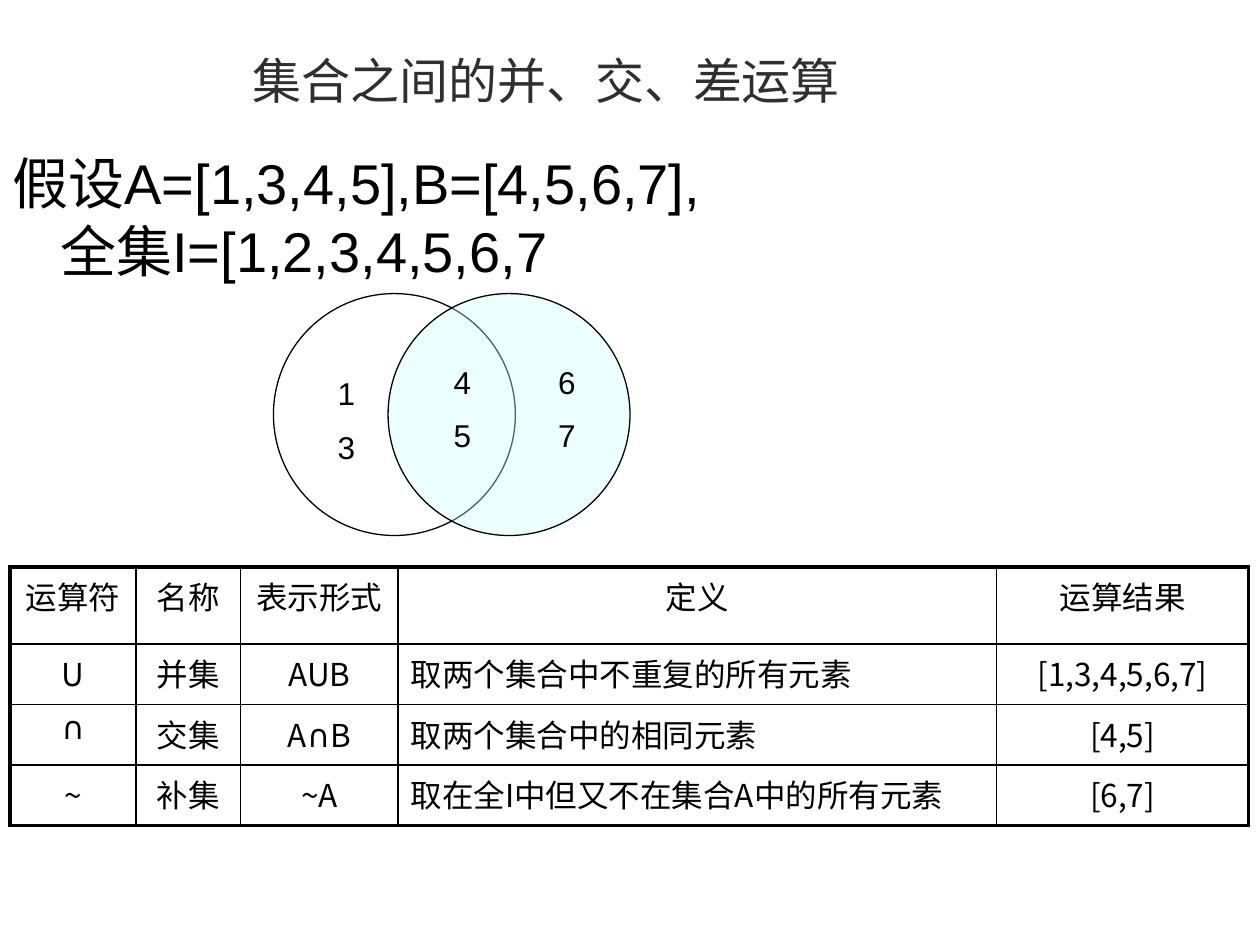
from dataclasses import dataclass

from lxml.etree import SubElement
from pptx import Presentation
from pptx.dml.color import RGBColor
from pptx.enum.shapes import MSO_SHAPE
from pptx.enum.text import MSO_ANCHOR, PP_ALIGN
from pptx.oxml import parse_xml
from pptx.oxml.ns import nsdecls, qn
from pptx.util import Inches, Pt


@dataclass(frozen=True)
class Theme:
    ink: str = "000000"
    title: str = "2F2F2F"
    paper: str = "FFFFFF"
    aqua: str = "CCFFFF"
    latin: str = "Arial"
    cjk: str = "Noto Sans CJK SC"
    symbol: str = "DejaVu Sans"
    title_size: int = 28
    body_size: int = 32
    small_size: int = 18
    outer_border: float = 2.25
    inner_border: float = 1


T = Theme()
HEADERS = ["运算符", "名称", "表示形式", "定义", "运算结果"]
ROWS = [
    ["U", "并集", "AUB", "取两个集合中不重复的所有元素", "[1,3,4,5,6,7]"],
    ["∩", "交集", "A∩B", "取两个集合中的相同元素", "[4,5]"],
    ["~", "补集", "~A", "取在全I中但又不在集合A中的所有元素", "[6,7]"],
]
COLUMN_WIDTHS = [1, 0.83, 1.25, 4.75, 2]
ROW_HEIGHTS = [0.61, 0.48, 0.48, 0.48]
DEFINITION_COLUMN = 3


def add_run(p, text, size, font, color=T.ink, east_asian=None):
    r = p.add_run()
    r.text = text
    r.font.size = Pt(size)
    r.font.bold = False
    r.font.color.rgb = RGBColor.from_string(color)
    r.font.name = font
    ea = SubElement(r.font._element, qn("a:ea"))
    ea.set("typeface", east_asian or font)


def add_title(s, text):
    title = s.shapes.title
    title.left, title.top = Inches(0.2), Inches(0)
    title.width, title.height = Inches(8.27), Inches(0.87)
    tf = title.text_frame
    tf.vertical_anchor = MSO_ANCHOR.BOTTOM
    tf.margin_bottom = Inches(0)
    p = tf.paragraphs[0]
    p.alignment = PP_ALIGN.CENTER
    add_run(p, text, T.title_size, T.cjk, T.title)


def add_premise(s, lines):
    sp = s.shapes.add_textbox(Inches(0), Inches(1.08), Inches(9.75), Inches(1.25))
    tf = sp.text_frame
    tf.word_wrap = True
    tf.margin_top = Inches(0.1)
    p = tf.paragraphs[0]
    p.line_spacing = Pt(38.5)
    pPr = p._p.get_or_add_pPr()
    pPr.set("marL", str(Inches(0.38)))
    pPr.set("indent", str(Inches(-0.38)))
    for i, line in enumerate(lines):
        if i:
            p.add_line_break()
        add_run(p, line, T.body_size, T.latin, east_asian=T.cjk)


def add_circle(group, left, color, opacity=100):
    sp = group.shapes.add_shape(
        MSO_SHAPE.OVAL, Inches(left), Inches(2.33), Inches(1.92), Inches(1.92)
    )
    sp.shadow.inherit = False
    sp.fill.solid()
    sp.fill.fore_color.rgb = RGBColor.from_string(color)
    sp.line.color.rgb = RGBColor.from_string(T.ink)
    sp.line.width = Pt(0.75)
    if opacity < 100:
        clr = sp._element.spPr.find(qn("a:solidFill"))[0]
        SubElement(clr, qn("a:alpha")).set("val", str(opacity * 1000))


def add_members(group, left, top, members):
    sp = group.shapes.add_textbox(Inches(left), Inches(top), Inches(0.5), Inches(0.85))
    tf = sp.text_frame
    tf.word_wrap = True
    for i, member in enumerate(members):
        p = tf.add_paragraph() if i else tf.paragraphs[0]
        p.alignment = PP_ALIGN.CENTER
        if i:
            p.space_before = Pt(9)
        add_run(p, member, T.small_size, T.latin)


def add_venn(s):
    group = s.shapes.add_group_shape()
    add_circle(group, 2.17, T.paper)
    add_circle(group, 3.08, T.aqua, 38)
    add_members(group, 2.5, 2.92, "13")
    add_members(group, 3.42, 2.83, "45")
    add_members(group, 4.25, 2.83, "67")


def set_borders(cell, outer_sides):
    tcPr = cell._tc.get_or_add_tcPr()
    for i, side in enumerate("LRTB"):
        width = T.outer_border if side in outer_sides else T.inner_border
        tcPr.insert(i, parse_xml(
            f'<a:ln{side} {nsdecls("a")} w="{Pt(width)}"><a:solidFill>'
            f'<a:srgbClr val="{T.ink}"/></a:solidFill></a:ln{side}>'
        ))


def fill_cell(cell, text, alignment):
    cell.fill.background()
    p = cell.text_frame.paragraphs[0]
    p.alignment = alignment
    before, sign, after = text.partition("∩")
    for part, font in ((before, T.cjk), (sign, T.symbol), (after, T.cjk)):
        if part:
            add_run(p, part, T.small_size, font)


def add_operations_table(s):
    data = [HEADERS] + ROWS
    last_row, last_col = len(data) - 1, len(HEADERS) - 1
    table = s.shapes.add_table(
        len(data), len(HEADERS), Inches(0.08), Inches(4.5),
        Inches(sum(COLUMN_WIDTHS)), Inches(sum(ROW_HEIGHTS)),
    ).table
    table.first_row = table.horz_banding = False
    for column, width in zip(table.columns, COLUMN_WIDTHS):
        column.width = Inches(width)
    for i, (height, texts) in enumerate(zip(ROW_HEIGHTS, data)):
        table.rows[i].height = Inches(height)
        for j, text in enumerate(texts):
            is_definition = i > 0 and j == DEFINITION_COLUMN
            cell = table.cell(i, j)
            fill_cell(cell, text, PP_ALIGN.LEFT if is_definition else PP_ALIGN.CENTER)
            edges = {"L": j == 0, "R": j == last_col, "T": i == 0, "B": i == last_row}
            set_borders(cell, [side for side, outer in edges.items() if outer])


def main():
    prs = Presentation()
    prs.slide_width, prs.slide_height = Inches(10), Inches(7.5)
    s = prs.slides.add_slide(prs.slide_layouts[5])
    add_title(s, "集合之间的并、交、差运算")
    add_premise(s, ["假设A=[1,3,4,5],B=[4,5,6,7],", "全集I=[1,2,3,4,5,6,7"])
    add_operations_table(s)
    add_venn(s)
    prs.save("out.pptx")


if __name__ == "__main__":
    main()
